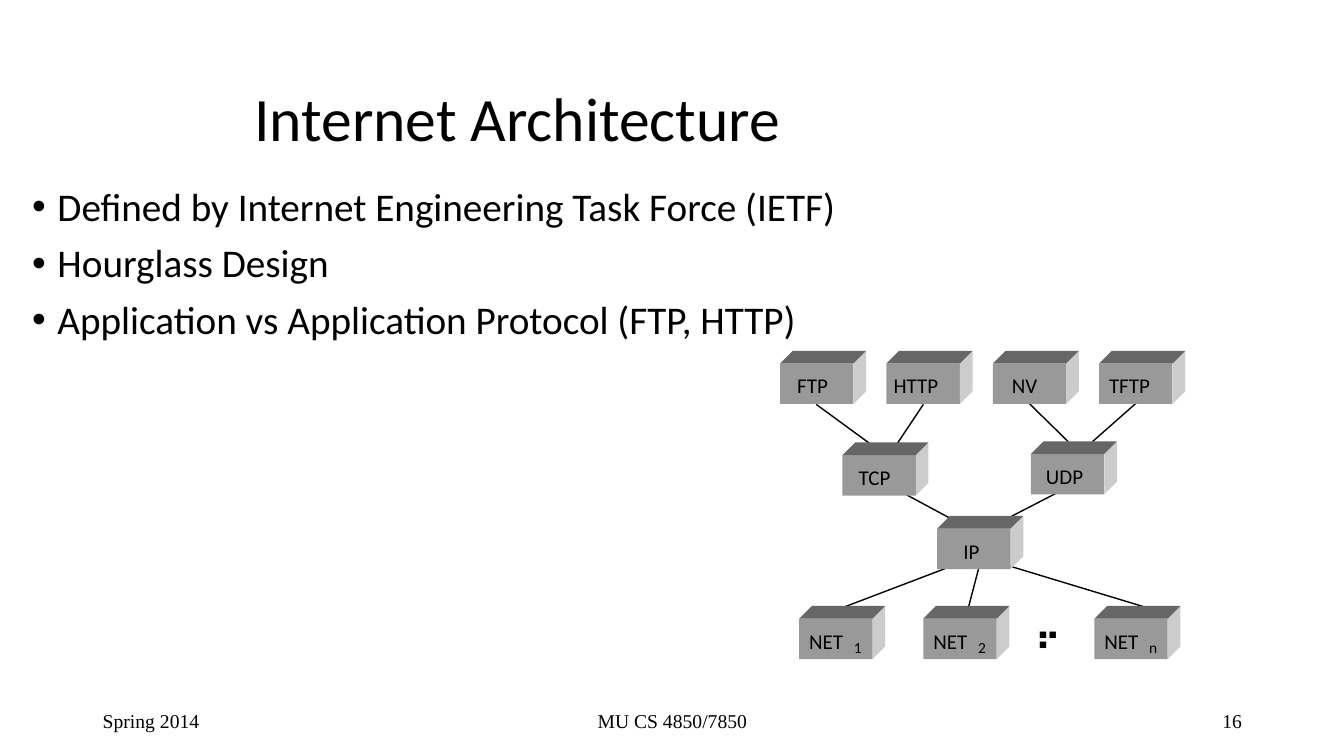
"""Build the Internet Architecture slide with its hourglass of protocol blocks."""
from dataclasses import dataclass
from typing import NamedTuple

import lxml.etree
import pptx
import pptx.dml.color
import pptx.enum.shapes
import pptx.enum.text
import pptx.oxml.ns
import pptx.util

Cm = pptx.util.Cm
Align = pptx.enum.text.PP_ALIGN
Anchor = pptx.enum.text.MSO_ANCHOR


@dataclass(frozen=True)
class Theme:
    ink: str = "000000"
    front: str = "999999"
    side: str = "CCCCCC"
    top: str = "666666"
    font: str = "Calibri"
    footer_font: str = "Times New Roman"
    title_size: int = 44
    body_size: int = 28
    label_size: int = 15
    footer_size: int = 14
    index_size: int = 11
    dots_size: int = 6


class Area(NamedTuple):
    left: float
    top: float
    width: float
    height: float


class Block(NamedTuple):
    name: str
    left: float
    top: float
    label_inset: float
    index: str = ""


class Link(NamedTuple):
    x1: float
    y1: float
    x2: float
    y2: float


class Footer(NamedTuple):
    text: str
    area: Area
    align: Align


THEME = Theme()
FRONT_WIDTH, FRONT_HEIGHT, DEPTH = 1.85, 1.02, 0.32
APP_LEFT, APP_TOP, APP_STEP = 19.66, 8.84, 2.68
NET_TOP = 15.27

APPS = [("FTP", 0.43), ("HTTP", 0.18), ("NV", 0.48), ("TFTP", 0.25)]
NETS = [("1", 20.14), ("2", 23.27), ("n", 27.58)]
BLOCKS = [
    *(Block(name, APP_LEFT + i * APP_STEP, APP_TOP, inset)
      for i, (name, inset) in enumerate(APPS)),
    Block("TCP", 21.23, 11.15, 0.41),
    Block("UDP", 25.98, 11.12, 0.38),
    Block("IP", 23.62, 13.0, 0.66),
    *(Block("NET", left, NET_TOP, 0.25, index) for index, left in NETS),
]
LINKS = [
    Link(20.57, 10.19, 21.95, 11.2),
    Link(23.27, 10.19, 22.61, 11.18),
    Link(25.93, 10.16, 26.92, 11.13),
    Link(28.63, 10.16, 27.53, 11.13),
    Link(22.33, 12.19, 24.13, 13.16),
    Link(27.08, 12.19, 25.2, 13.16),
    Link(24.1, 14.22, 21.29, 15.29),
    Link(24.69, 14.22, 24.41, 15.29),
    Link(28.83, 15.29, 25.3, 14.22),
]
BULLETS = [
    "Defined by Internet Engineering Task Force (IETF)",
    "Hourglass Design",
    "Application vs Application Protocol (FTP, HTTP)",
]
FOOTERS = [
    Footer("Spring 2014", Area(2.34, 17.65, 7.62, 1.02), Align.LEFT),
    Footer("MU CS 4850/7850", Area(11.23, 17.65, 11.43, 1.02), Align.CENTER),
    Footer("16", Area(23.93, 17.65, 7.62, 1.02), Align.RIGHT),
]


def rgb(color: str) -> pptx.dml.color.RGBColor:
    return pptx.dml.color.RGBColor.from_string(color)


def add_run(para, text: str, size: int, font: str = THEME.font) -> None:
    span = para.add_run()
    span.text = text
    span.font.name = font
    span.font.size = pptx.util.Pt(size)
    span.font.color.rgb = rgb(THEME.ink)


def add_box(page, area: Area, inset: bool = True):
    box = page.shapes.add_textbox(*map(Cm, area))
    frame = box.text_frame
    frame.word_wrap = True
    if not inset:
        frame.margin_left = frame.margin_right = 0
        frame.margin_top = frame.margin_bottom = 0
    return frame


def add_label(page, text: str, area: Area, size: int) -> None:
    add_run(add_box(page, area, inset=False).paragraphs[0], text, size)


def add_title(page, text: str) -> None:
    title = page.shapes.title
    title.left, title.top, title.width, title.height = map(Cm, Area(6.15, 1.47, 21.59, 3.18))
    frame = title.text_frame
    frame.auto_size = pptx.enum.text.MSO_AUTO_SIZE.NONE
    frame.vertical_anchor = Anchor.MIDDLE
    para = frame.paragraphs[0]
    para.alignment = Align.LEFT
    para.line_spacing = 0.9
    add_run(para, text, THEME.title_size)


def add_bullets(page, lines: list[str]) -> None:
    frame = add_box(page, Area(0.56, 4.6, 22.43, 11.43))
    for i, line in enumerate(lines):
        para = frame.add_paragraph() if i else frame.paragraphs[0]
        para.line_spacing = 0.9
        para.space_before = pptx.util.Pt(10)
        add_run(para, line, THEME.body_size)
        props = para._p.get_or_add_pPr()
        props.set("marL", str(Cm(0.64)))
        props.set("indent", str(-Cm(0.64)))
        font = lxml.etree.SubElement(props, pptx.oxml.ns.qn("a:buFont"))
        font.set("typeface", "Arial")
        lxml.etree.SubElement(props, pptx.oxml.ns.qn("a:buChar")).set("char", "•")


def add_footer(page, footer: Footer) -> None:
    frame = add_box(page, footer.area)
    frame.vertical_anchor = Anchor.MIDDLE
    frame.paragraphs[0].alignment = footer.align
    add_run(frame.paragraphs[0], footer.text, THEME.footer_size, THEME.footer_font)


def add_link(page, link: Link) -> None:
    line = page.shapes.add_connector(
        pptx.enum.shapes.MSO_CONNECTOR.STRAIGHT, *map(Cm, link))
    line.line.color.rgb = rgb(THEME.ink)
    line.line.width = pptx.util.Pt(1)
    lxml.etree.SubElement(line._element.spPr, pptx.oxml.ns.qn("a:effectLst"))


def paint(shape, color: str) -> None:
    shape.shadow.inherit = False
    shape.fill.solid()
    shape.fill.fore_color.rgb = rgb(color)
    shape.line.fill.background()


def add_face(page, points: list[tuple[float, float]], color: str) -> None:
    start, *rest = [(Cm(x), Cm(y)) for x, y in points]
    builder = page.shapes.build_freeform(*start)
    builder.add_line_segments(rest, close=True)
    paint(builder.convert_to_shape(), color)


def add_block(page, block: Block) -> None:
    left, right = block.left, block.left + FRONT_WIDTH
    back, front = block.top, block.top + DEPTH
    bottom = front + FRONT_HEIGHT
    face = page.shapes.add_shape(
        pptx.enum.shapes.MSO_SHAPE.RECTANGLE,
        *map(Cm, Area(left, front, FRONT_WIDTH, FRONT_HEIGHT)))
    paint(face, THEME.front)
    add_face(page, [(right + DEPTH, back), (right + DEPTH, bottom - DEPTH),
                    (right, bottom), (right, front)], THEME.side)
    add_face(page, [(left, front), (left + DEPTH, back),
                    (right + DEPTH, back), (right, front)], THEME.top)
    add_label(page, block.name,
              Area(left + block.label_inset, back + 0.56, 1.6, 0.64), THEME.label_size)
    if block.index:
        add_label(page, block.index, Area(left + 1.38, back + 0.81, 0.4, 0.48),
                  THEME.index_size)


deck = pptx.Presentation()
deck.slide_width, deck.slide_height = Cm(33.87), Cm(19.05)
page = deck.slides.add_slide(deck.slide_layouts.get_by_name("Title Only"))
for footer in FOOTERS:
    add_footer(page, footer)
add_title(page, "Internet Architecture")
add_bullets(page, BULLETS)
add_label(page, "■ ■ ■", Area(26.19, 15.85, 0.51, 0.25), THEME.dots_size)
for link in LINKS:
    add_link(page, link)
for block in BLOCKS:
    add_block(page, block)
deck.save("out.pptx")
